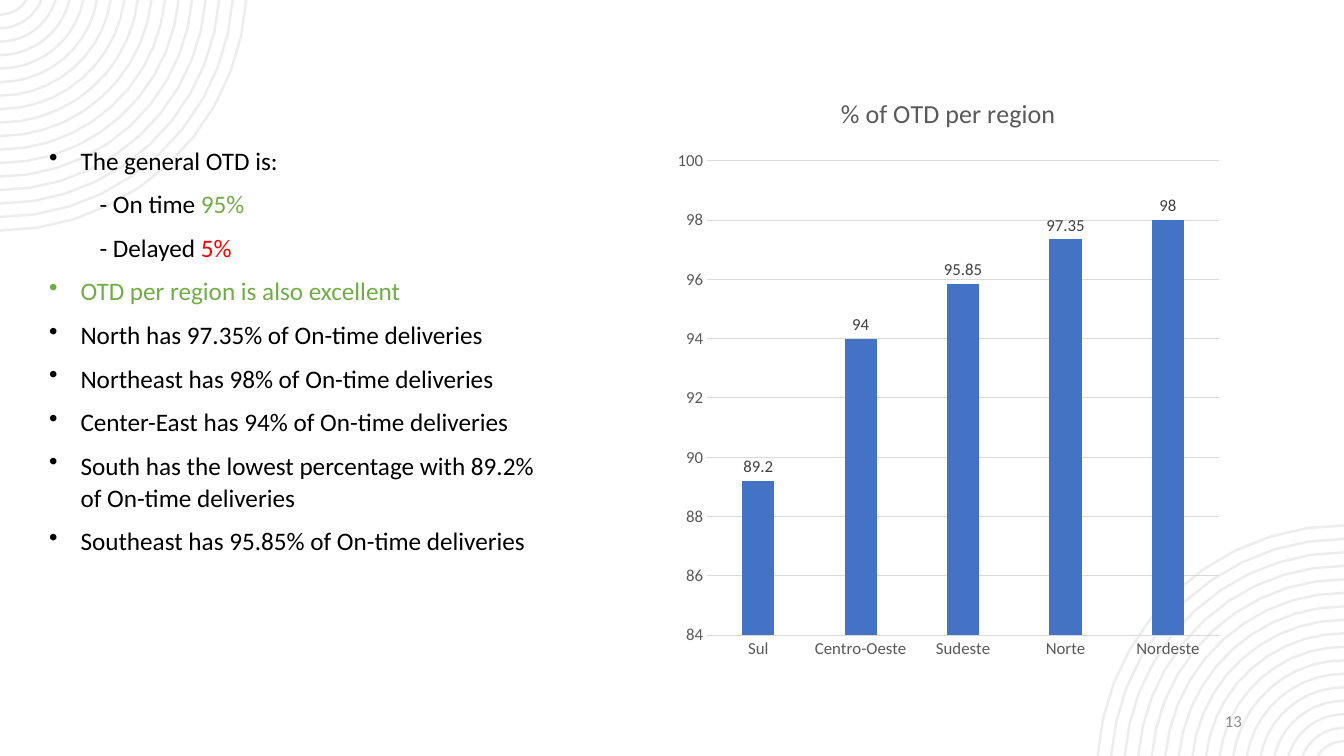
"""Build the slide on on-time delivery (OTD) per region."""
from dataclasses import dataclass
from math import asin, cos, pi, sin

from lxml import etree
from pptx import Presentation
from pptx.chart.data import CategoryChartData
from pptx.dml.color import RGBColor
from pptx.enum.chart import XL_CHART_TYPE, XL_LABEL_POSITION, XL_TICK_MARK
from pptx.enum.text import MSO_ANCHOR, MSO_AUTO_SIZE, PP_ALIGN
from pptx.oxml.ns import qn
from pptx.util import Cm, Pt

COLUMNS = XL_CHART_TYPE.COLUMN_CLUSTERED
OUTSIDE_END = XL_LABEL_POSITION.OUTSIDE_END
NO_TICK = XL_TICK_MARK.NONE
MIDDLE = MSO_ANCHOR.MIDDLE
GROW = MSO_AUTO_SIZE.SHAPE_TO_FIT_TEXT
RIGHT = PP_ALIGN.RIGHT

FONT = "Calibri"
WIDTH, HEIGHT = 33.87, 19.05
COLORS = {
    "ring": "EDEDED", "number": "8C8C8C", "text": "000000",
    "good": "70AD47", "bad": "FF0000", "bar": "4472C4",
    "axis": "595959", "grid": "D9D9D9", "label": "404040",
}
OTD = {"Sul": 89.2, "Centro-Oeste": 94, "Sudeste": 95.85,
       "Norte": 97.35, "Nordeste": 98}


@dataclass
class Item:
    """A line of the list, with an optional coloured figure at its end."""
    text: str
    color: str = "text"
    figure: str = ""
    figure_color: str = "text"


ITEMS = [
    Item("The general OTD is:"),
    Item("- On time ", figure="95%", figure_color="good"),
    Item("- Delayed ", figure="5%", figure_color="bad"),
    Item("OTD per region is also excellent", "good"),
    Item("North has 97.35% of On-time deliveries"),
    Item("Northeast has 98% of On-time deliveries"),
    Item("Center-East has 94% of On-time deliveries"),
    Item("South has the lowest percentage with 89.2% \vof On-time deliveries"),
    Item("Southeast has 95.85% of On-time deliveries"),
]


def rgb(name: str) -> RGBColor:
    """Look up a named colour."""
    return RGBColor.from_string(COLORS[name])


def set_font(font, size: float, color: str) -> None:
    """Set the typeface, size and colour of a font."""
    font.name, font.size, font.bold = FONT, Pt(size), False
    font.color.rgb = rgb(color)


def format_line(line, color: str, width: float) -> None:
    """Set the colour and width of a line."""
    line.color.rgb, line.width = rgb(color), Pt(width)


def arc(radius: float, drop: float = 0.41, steps: int = 10) -> list:
    """Return points of an arc, centred above the corner, from edge to edge."""
    start = asin(drop / radius)
    angles = [start + (pi / 2 - start) * i / steps for i in range(steps + 1)]
    return [(radius * cos(a), radius * sin(a) - drop) for a in angles]


def add_rings(s, opposite: bool) -> None:
    """Draw the concentric rings of the top left or the opposite corner."""
    def place(x: float, y: float) -> tuple:
        return (Cm(WIDTH - x), Cm(HEIGHT - y)) if opposite else (Cm(x), Cm(y))

    rings = [[place(*pt) for pt in arc(6.22 - 0.34 * i)] for i in range(17)]
    builder = s.shapes.build_freeform(*rings[0][0])
    for ring in rings:
        builder.move_to(*ring[0])
        builder.add_line_segments(ring[1:], close=False)
    sp = builder.convert_to_shape()
    sp.shadow.inherit = False
    sp.fill.background()
    format_line(sp.line, "ring", 1.75)


def add_number(s, text: str) -> None:
    """Add the slide number."""
    tf = s.shapes.add_textbox(Cm(23.93), Cm(17.65), Cm(7.62), Cm(1.02)).text_frame
    tf.word_wrap, tf.vertical_anchor = True, MIDDLE
    p = tf.paragraphs[0]
    p.text, p.alignment = text, RIGHT
    set_font(p.font, 12, "number")


def add_list(s, items: list) -> None:
    """Add the findings, with bullets except on lines that end in a figure."""
    tf = s.shapes.add_textbox(Cm(0.99), Cm(3.48), Cm(14.78), Cm(11.81)).text_frame
    tf.word_wrap, tf.auto_size = True, GROW
    for i, item in enumerate(items):
        p = tf.add_paragraph() if i else tf.paragraphs[0]
        p.text, p.line_spacing, p.space_after = item.text, 1.07, Pt(8)
        set_font(p.font, 18, item.color)
        pPr = p._p.get_or_add_pPr()
        if item.figure:
            p.level = 1
            pPr.set("marL", str(Cm(1.27)))
            pPr.set("indent", "0")
            r = p.add_run()
            r.text = item.figure
            r.font.color.rgb = rgb(item.figure_color)
        else:
            pPr.set("marL", str(Cm(0.79)))
            pPr.set("indent", str(-Cm(0.79)))
            bullet = etree.Element(qn("a:buChar"), char="•")
            pPr.find(qn("a:defRPr")).addprevious(bullet)


def format_axis(axis) -> None:
    """Apply the common style of both axes."""
    axis.major_tick_mark = axis.minor_tick_mark = NO_TICK
    set_font(axis.tick_labels.font, 12, "axis")


def add_otd_chart(s) -> None:
    """Add the column chart of on-time deliveries."""
    data = CategoryChartData()
    data.categories = list(OTD)
    data.add_series("Series 1", list(OTD.values()))
    chart = s.shapes.add_chart(
        COLUMNS, Cm(16.79), Cm(1.85), Cm(14.22), Cm(15.06), data).chart
    set_font(chart.font, 10, "text")
    chart.has_legend = False
    chart.has_title = True
    p = chart.chart_title.text_frame.paragraphs[0]
    p.text = "% of OTD per region"
    set_font(p.font, 18.6, "axis")

    format_axis(chart.category_axis)
    format_line(chart.category_axis.format.line, "grid", 0.75)
    axis = chart.value_axis
    format_axis(axis)
    axis.minimum_scale, axis.maximum_scale, axis.major_unit = 84, 100, 2
    axis.format.line.fill.background()
    format_line(axis.major_gridlines.format.line, "grid", 0.75)

    plot = chart.plots[0]
    plot.gap_width, plot.overlap, plot.vary_by_categories = 219, -27, False
    series = plot.series[0]
    series.format.fill.solid()
    series.format.fill.fore_color.rgb = rgb("bar")
    labels = series.data_labels
    labels.show_value, labels.position = True, OUTSIDE_END
    set_font(labels.font, 12, "label")


def main() -> None:
    """Build and save the presentation."""
    prs = Presentation()
    prs.slide_width, prs.slide_height = Cm(WIDTH), Cm(HEIGHT)
    s = prs.slides.add_slide(prs.slide_layouts[6])
    for opposite in (False, True):
        add_rings(s, opposite)
    add_number(s, "13")
    add_list(s, ITEMS)
    add_otd_chart(s)
    prs.save("out.pptx")


main()
